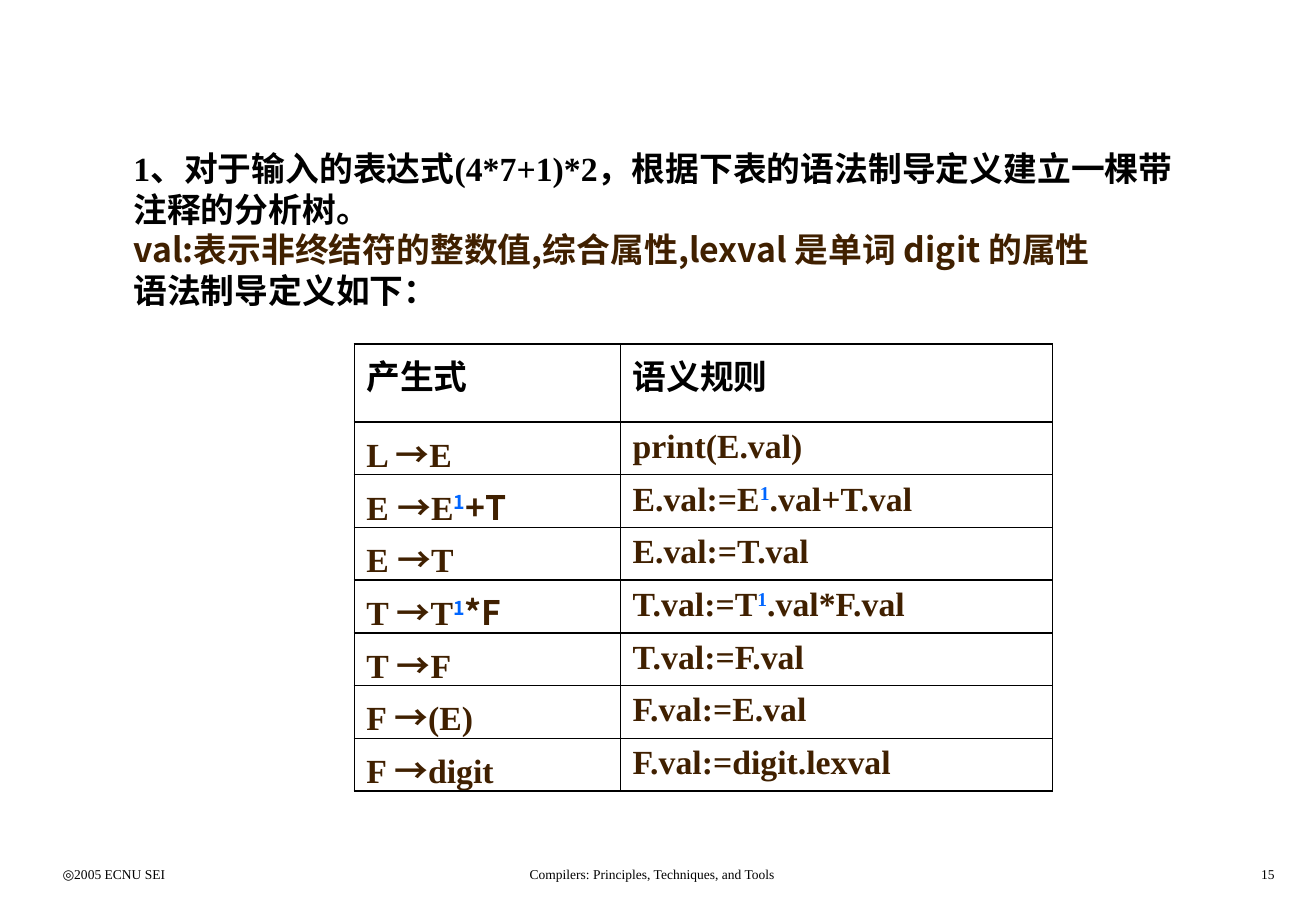
from dataclasses import dataclass

from lxml import etree
from pptx import Presentation
from pptx import util as u
from pptx.dml.color import RGBColor
from pptx.enum import text
from pptx.oxml import ns

PX = 7620
BLACK = RGBColor(0x00, 0x00, 0x00)
BROWN = RGBColor(0x40, 0x20, 0x00)
BLUE = RGBColor(0x00, 0x66, 0xFF)
SERIF = "Times New Roman"
SANS = "Noto Sans CJK SC"


@dataclass(frozen=True)
class Span:
    content: str
    font: str = SERIF
    color: RGBColor = BROWN
    size: int = 20
    bold: bool = True
    raised: bool = False


@dataclass(frozen=True)
class Label:
    left: int
    width: int
    content: str
    align: text.PP_ALIGN


@dataclass(frozen=True)
class Rule:
    head: str
    body: tuple[Span, ...]
    action: tuple[Span, ...]


FOOTER = (
    Label(50, 271, "◎2005 ECNU SEI", text.PP_ALIGN.LEFT),
    Label(401, 487, "Compilers: Principles, Techniques, and Tools", text.PP_ALIGN.CENTER),
    Label(1000, 271, "15", text.PP_ALIGN.RIGHT),
)
QUESTION = (
    (
        Span("1", color=BLACK),
        Span("、对于输入的表达式", SANS, BLACK),
        Span("(4*7+1)*2", color=BLACK),
        Span("，根据下表的语法制导定义建立一棵带注释的分析树。", SANS, BLACK),
    ),
    (Span("val:表示非终结符的整数值,综合属性,lexval 是单词 digit 的属性", SANS),),
    (Span("语法制导定义如下：", SANS, BLACK),),
)
HEADINGS = ("产生式", "语义规则")
SANS_ONE = Span("1", SANS, BLUE, raised=True)
SERIF_ONE = Span("1", SERIF, BLUE, raised=True)
RULES = (
    Rule("L", (Span("E"),), (Span("print(E.val)"),)),
    Rule("E", (Span("E"), SANS_ONE, Span("+T", SANS)),
         (Span("E.val:=E"), SERIF_ONE, Span(".val+T.val"))),
    Rule("E", (Span("T"),), (Span("E.val:=T.val"),)),
    Rule("T", (Span("T"), SANS_ONE, Span("*F", SANS)),
         (Span("T.val:=T"), SERIF_ONE, Span(".val*F.val"))),
    Rule("T", (Span("F"),), (Span("T.val:=F.val"),)),
    Rule("F", (Span("(E)"),), (Span("F.val:=E.val"),)),
    Rule("F", (Span("digit"),), (Span("F.val:=digit.lexval"),)),
)
COLUMN_WIDTHS = (263, 427)
HEADING_HEIGHT, RULE_HEIGHT = 77, 52


def write_spans(paragraph, spans: tuple[Span, ...]) -> None:
    for span in spans:
        run = paragraph.add_run()
        run.text = span.content
        run.font.size = u.Pt(span.size)
        run.font.bold = span.bold
        run.font.color.rgb = span.color
        run.font.name = span.font
        properties = run.font._element
        etree.SubElement(properties, ns.qn("a:ea"), typeface=SANS)
        if span.raised:
            properties.set("baseline", "30000")


def add_text(slide, left: int, top: int, width: int, height: int):
    shape = slide.shapes.add_textbox(left * PX, top * PX, width * PX, height * PX)
    shape.text_frame.word_wrap = True
    return shape.text_frame


def add_footer(slide, label: Label) -> None:
    paragraph = add_text(slide, label.left, 850, label.width, 30).paragraphs[0]
    paragraph.alignment = label.align
    write_spans(paragraph, (Span(label.content, color=BLACK, size=8, bold=False),))


def add_question(slide) -> None:
    frame = add_text(slide, 120, 140, 1060, 172)
    frame.vertical_anchor = text.MSO_ANCHOR.MIDDLE
    for index, spans in enumerate(QUESTION):
        paragraph = frame.add_paragraph() if index else frame.paragraphs[0]
        write_spans(paragraph, spans)


def border_cell(cell) -> None:
    properties = cell._tc.get_or_add_tcPr()
    for position, side in enumerate(("lnL", "lnR", "lnT", "lnB")):
        line = etree.Element(ns.qn(f"a:{side}"), w=str(u.Pt(1)))
        fill = etree.SubElement(line, ns.qn("a:solidFill"))
        etree.SubElement(fill, ns.qn("a:srgbClr"), val=str(BLACK))
        properties.insert(position, line)


def add_rules(slide) -> None:
    rows = [tuple((Span(heading, SANS, BLACK),) for heading in HEADINGS)]
    rows += [((Span(f"{rule.head} "), Span("→", SANS), *rule.body), rule.action)
             for rule in RULES]
    heights = [HEADING_HEIGHT] + [RULE_HEIGHT] * len(RULES)
    table = slide.shapes.add_table(
        len(rows), len(COLUMN_WIDTHS), 350 * PX, 340 * PX,
        sum(COLUMN_WIDTHS) * PX, sum(heights) * PX).table
    table.first_row = table.horz_banding = False
    for column, width in zip(table.columns, COLUMN_WIDTHS):
        column.width = width * PX
    for row, height, contents in zip(table.rows, heights, rows):
        row.height = height * PX
        for cell, spans in zip(row.cells, contents):
            cell.fill.background()
            border_cell(cell)
            write_spans(cell.text_frame.paragraphs[0], spans)


def main() -> None:
    presentation = Presentation()
    presentation.slide_width, presentation.slide_height = 1300 * PX, 900 * PX
    slide = presentation.slides.add_slide(presentation.slide_layouts[6])
    for label in FOOTER:
        add_footer(slide, label)
    add_question(slide)
    add_rules(slide)
    presentation.save("out.pptx")


if __name__ == "__main__":
    main()
